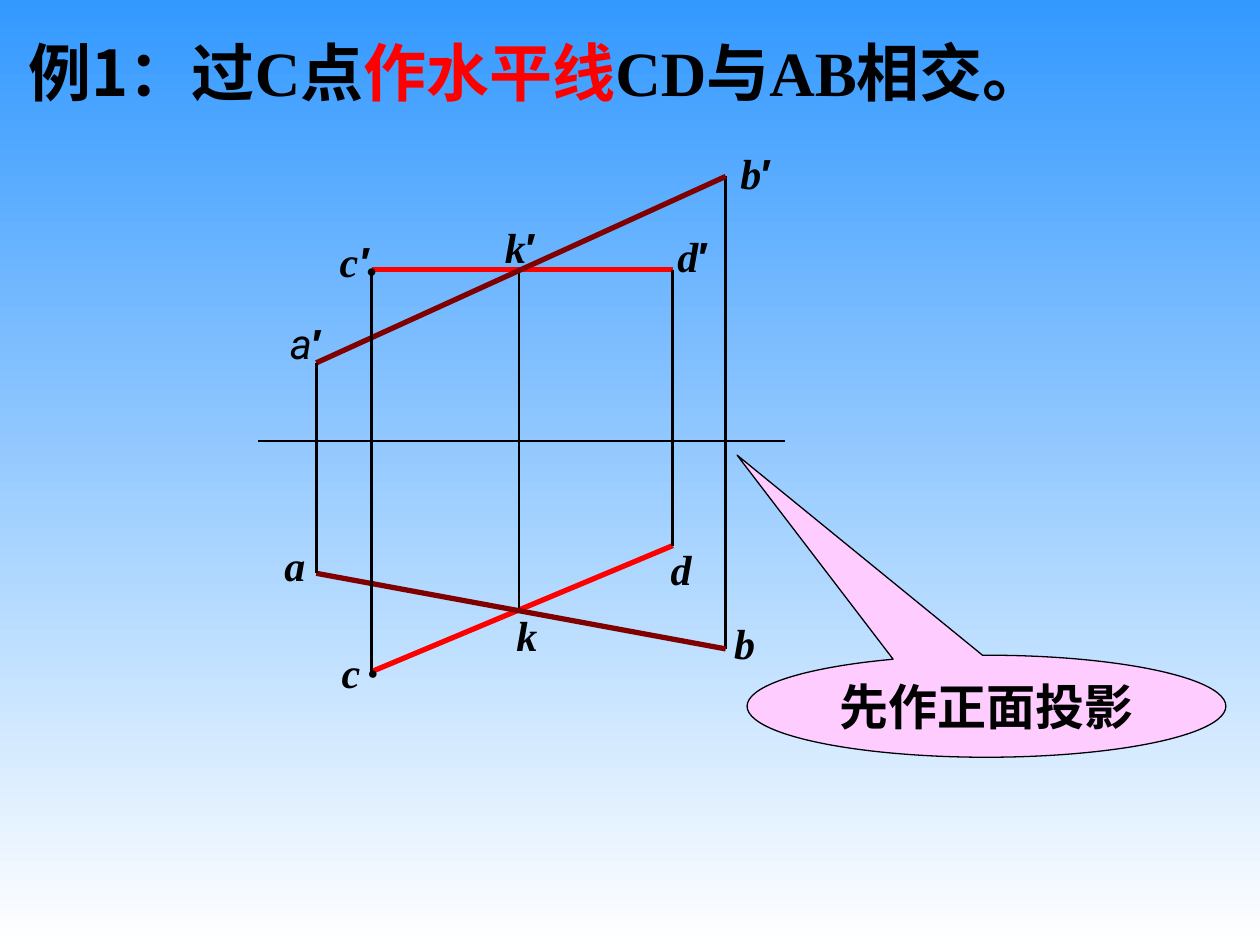
from lxml import etree
from pptx import Presentation, util as u
from pptx.dml.color import RGBColor
from pptx.enum import shapes, text
from pptx.oxml.ns import qn

SCALE = 9144
BLACK, RED, MAROON, PINK = "000000", "FF0000", "800000", "FFCCFF"
SERIF, SANS, HAN = "Times New Roman", "Arial", "Noto Sans CJK SC"


def px(n):
    return u.Emu(n * SCALE)


def tint(code):
    return RGBColor.from_string(code)


class Board:
    """Draws styled elements on the current slide."""

    def __init__(self, slide):
        self.slide = slide

    def wash(self, *codes):
        fill = self.slide.background.fill
        fill.gradient()
        fill.gradient_angle = 270
        for i, (stop, code) in enumerate(zip(fill.gradient_stops, codes)):
            stop.position = i
            stop.color.rgb = tint(code)

    def run(self, para, words, size, face=SERIF, color=BLACK, bold=True, slant=False):
        run = para.add_run()
        run.text = words
        font = run.font
        font.size, font.name = u.Pt(size), face
        font.bold, font.italic = bold, slant
        font.color.rgb = tint(color)
        if any("一" <= c <= "龥" for c in words):
            etree.SubElement(font._element, qn("a:ea"), typeface=HAN)

    def fit(self, shape, wrap, align):
        frame = shape.text_frame
        frame.word_wrap = wrap
        frame.auto_size = text.MSO_AUTO_SIZE.SHAPE_TO_FIT_TEXT
        frame.vertical_anchor = text.MSO_ANCHOR.MIDDLE
        para = frame.paragraphs[0]
        para.alignment = align
        return para

    def box(self, x, y, w, h, align=text.PP_ALIGN.CENTER):
        shape = self.slide.shapes.add_textbox(px(x), px(y), px(w), px(h))
        return self.fit(shape, False, align)

    def label(self, x, y, w, name, prime=False, face=SERIF, lean=False):
        para = self.box(x, y, w, 50)
        self.run(para, name, 24, face, bold=face == SERIF, slant=True)
        if prime:
            self.run(para, "′", 24, SANS, slant=lean)

    def dot(self, x, y):
        self.run(self.box(x, y, 28, 27), "●", 10)

    def line(self, start, end, color=BLACK, width=1.5):
        line = self.slide.shapes.add_connector(
            shapes.MSO_CONNECTOR.STRAIGHT, *map(px, start + end))
        line.line.color.rgb = tint(color)
        line.line.width = u.Pt(width)
        etree.SubElement(line._element.spPr, qn("a:effectLst"))

    def callout(self, x, y, w, h, tip, words):
        shape = self.slide.shapes.add_shape(
            shapes.MSO_SHAPE.OVAL_CALLOUT, px(x), px(y), px(w), px(h))
        shape.shadow.inherit = False
        shape.adjustments[0], shape.adjustments[1] = tip
        shape.fill.solid()
        shape.fill.fore_color.rgb = tint(PINK)
        shape.line.color.rgb = tint(BLACK)
        shape.line.width = u.Pt(0.75)
        self.run(self.fit(shape, True, text.PP_ALIGN.CENTER), words, 28)


def main():
    deck = Presentation()
    deck.slide_width, deck.slide_height = px(1000), px(750)
    board = Board(deck.slides.add_slide(deck.slide_layouts[6]))
    board.wash("3399FF", "FFFFFF")

    title = board.box(13, 22, 923, 70, text.PP_ALIGN.LEFT)
    for words, face, color in (
            ("例", SERIF, BLACK), ("1", HAN, BLACK), ("：过C点", SERIF, BLACK),
            ("作水平线", SERIF, RED), ("CD与AB相交。", SERIF, BLACK)):
        board.run(title, words, 36, face, color)

    top = {"a": (251, 288), "b": (576, 140), "c": (295, 214),
           "d": (534, 214), "k": (412, 214)}
    plan = {"a": (251, 455), "b": (576, 515), "c": (295, 533),
            "d": (534, 433), "k": (412, 485)}
    for view in (plan, top):
        board.line(view["c"], view["d"], RED, 3)
    for name in "kd":
        board.line(top[name], plan[name])
    board.callout(593, 520, 380, 81, (-0.521, -2.461), "先作正面投影")
    board.line(top["b"], plan["b"])
    board.line((205, 350), (623, 350))
    for view in (top, plan):
        board.line(view["a"], view["b"], MAROON, 3)
    for name in "ac":
        board.line(top[name], plan[name])

    for spot in ((281, 201), (282, 520)):
        board.dot(*spot)
    for x, y, w, name in ((261, 508, 35, "c"), (400, 479, 36, "k"),
                          (522, 426, 37, "d"), (216, 423, 36, "a"),
                          (562, 485, 58, "b")):
        board.label(x, y, w, name)
    for x, y, name in ((526, 178, "d"), (389, 171, "k"), (576, 112, "b")):
        board.label(x, y, 48, name, True)
    board.label(218, 247, 50, "a", True, "Roboto")
    board.label(258, 182, 46, "c", True, lean=True)
    deck.save("out.pptx")


if __name__ == "__main__":
    main()
